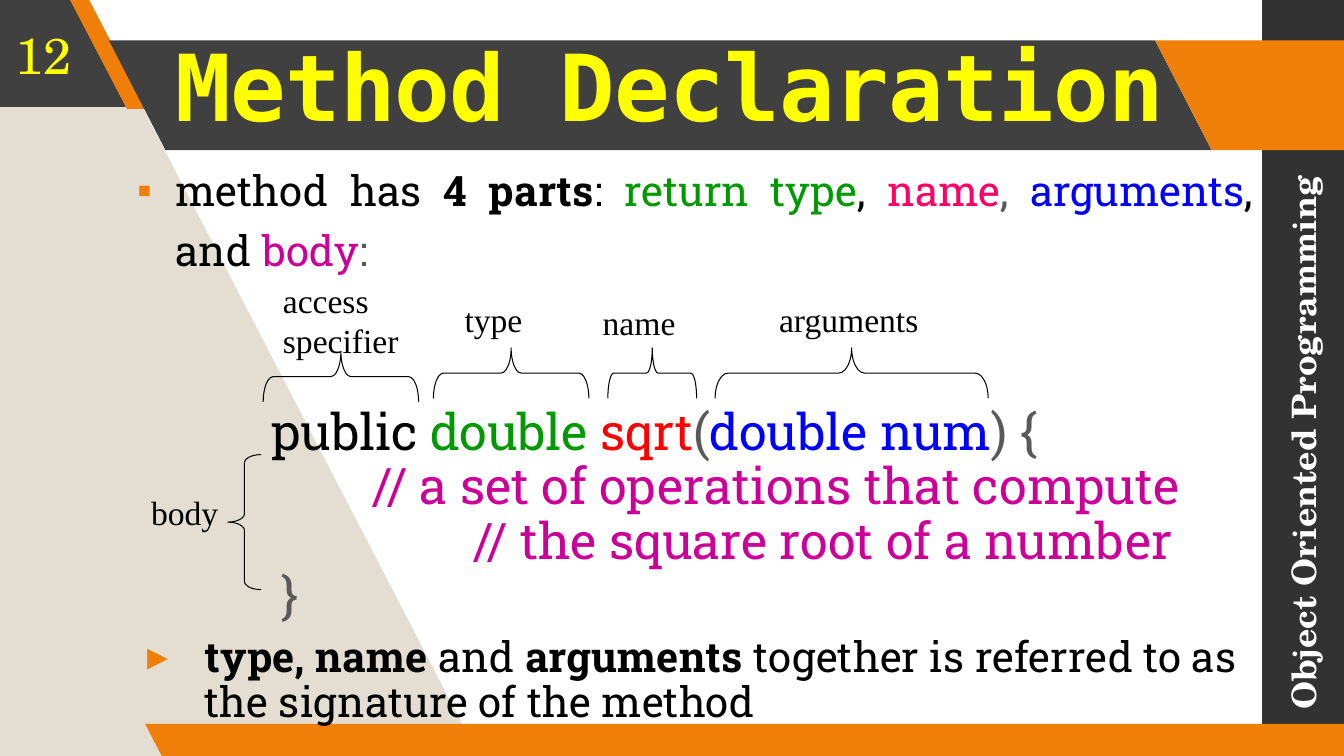
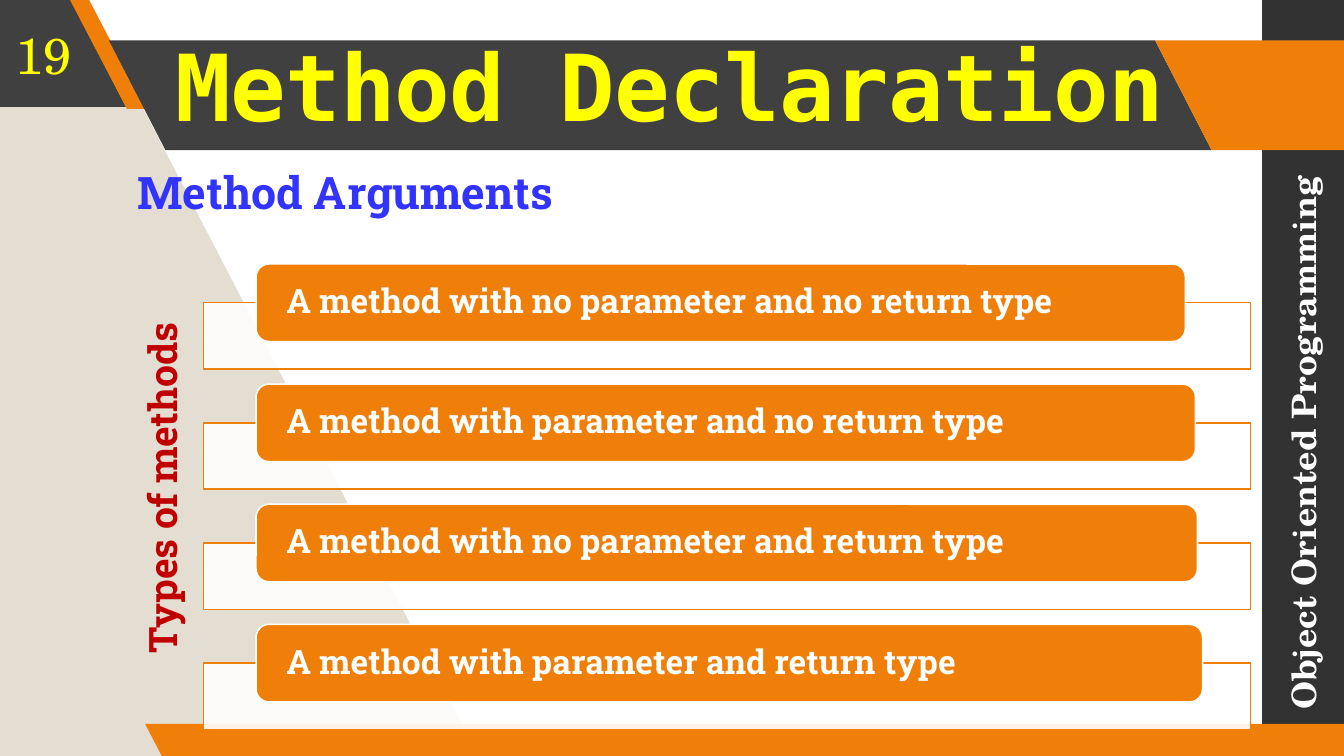
import pptx
import pptx.util
import pptx.dml.color
import pptx.enum.shapes
import pptx.enum.text
import pptx.oxml.ns
import lxml.etree

Pt = pptx.util.Pt
RGB = pptx.dml.color.RGBColor
SHAPE = pptx.enum.shapes.MSO_SHAPE
ALIGN = pptx.enum.text.PP_ALIGN
ANCHOR = pptx.enum.text.MSO_ANCHOR
qn = pptx.oxml.ns.qn

ORANGE = RGB(0xF0, 0x7F, 0x09)
CHARCOAL = RGB(0x40, 0x40, 0x40)
SIDEBAR = RGB(0x32, 0x32, 0x32)
SAND = RGB(0xE3, 0xDE, 0xD1)
YELLOW = RGB(0xFF, 0xFF, 0x00)
WHITE = RGB(0xFF, 0xFF, 0xFF)
BLACK = RGB(0, 0, 0)
GRAY = RGB(0x59, 0x59, 0x59)
GREEN = RGB(0, 0x99, 0)
PINK = RGB(0xFF, 0, 0x66)
RED = RGB(0xFF, 0, 0)
BLUE = RGB(0, 0, 0xFF)
PURPLE = RGB(0xCC, 0, 0x99)
INDIGO = RGB(0x33, 0x33, 0xFF)
CRIMSON = RGB(0xC0, 0, 0)

SLAB = "Roboto Slab"
SCHOLA = "TeX Gyre Schola"
MONO = "DejaVu Sans Mono"
TIMES = "Times New Roman"

TITLE = "Method Declaration"
COURSE = "Object Oriented Programming"

SAND_WEDGE = [(342, 540), (59.8, -4.3), (-5.8, -3.6), (-2.2, 543.6)]
BANDS = [
    ((-95, -2.2, 185, 78.5), 0.515, CHARCOAL),
    ((49.7, -0.7, 54.7, 78.5), 0.75, ORANGE),
    ((77.8, 28.8, 787.7, 78.5), 0.515, CHARCOAL),
    ((825.1, 28.8, 185, 78.5), 0.515, ORANGE),
    ((103.7, 517, 878.4, 23.8), 0.515, ORANGE),
]

PARTS_TEXT = [
    dict(size=30, left=27.4, hang=27.4, bullet="▪", line=1.2, align=ALIGN.JUSTIFY, track=10,
         runs=[("method has ", BLACK), ("4 parts", BLACK, True), (": ", BLACK),
               ("return type", GREEN), (", ", BLACK), ("name", PINK), (", ", GRAY),
               ("arguments", BLUE), (", and ", BLACK), ("body", PURPLE), (":", GRAY)]),
    dict(size=36, left=96, before=94,
         runs=[("public", BLACK), (" double ", GREEN), ("sqrt", RED), ("(", GRAY),
               ("double num", BLUE), (") {", GRAY)]),
    dict(size=36, left=168, runs=[("// a set of operations that compute", PURPLE)]),
    dict(size=36, left=240, runs=[("// the square root of a number", PURPLE)]),
    dict(size=36, left=103.5, runs=[("}", GRAY)]),
    dict(size=30, left=48.2, hang=41, bullet="▸", before=8, track=10,
         runs=[("type, name ", BLACK, True), ("and ", BLACK), ("arguments", BLACK, True),
               (" together is referred to as the signature of the method", BLACK)]),
]
ARGUMENTS_TEXT = [
    dict(size=32, line=1.2, align=ALIGN.JUSTIFY, runs=[("Method Arguments", INDIGO, True)]),
]

BRACE_DEPTH = 36
TOP_BRACES = [
    (188, 251, 111, 0.2),
    (309.6, 248.5, 111, 0.2),
    (434.2, 248.5, 63.4, 0.115),
    (510.8, 248.5, 195, 0.258),
]
BODY_BRACE = (162.7, 324.7, 23.8, 96.5)
PART_LABELS = [
    ("access specifier", (195, 196.5, 108.7, 65.5)),
    ("type", (324.7, 210.2, 95, 43.2)),
    ("name", (423.4, 212.4, 87.8, 43.2)),
    ("arguments", (549.4, 210.2, 121.7, 36.7)),
    ("body", (100.8, 347.8, 82.8, 43.2)),
]

METHOD_KINDS = [
    ("A method with no parameter and no return type", 663.8),
    ("A method with parameter and no return type", 671),
    ("A method with no parameter and return type", 672.5),
    ("A method with parameter and return type", 676.1),
]
KIND_TOP, KIND_PITCH = 188.6, 85.8


def style(run, font, size, color, bold=False, track=0):
    run.font.name = font
    run.font.size = Pt(size)
    run.font.color.rgb = color
    run.font.bold = bold
    if track:
        run.font._element.set("spc", str(track))


def add_figure(slide, kind, box, fill=None, line=None, weight=1):
    figure = slide.shapes.add_shape(kind, *map(Pt, box))
    paint(figure, fill, line, weight)
    return figure


def paint(figure, fill=None, line=None, weight=1):
    figure.shadow.inherit = False
    if fill is None:
        figure.fill.background()
    else:
        figure.fill.solid()
        figure.fill.fore_color.rgb = fill
    if line is None:
        figure.line.fill.background()
    else:
        figure.line.color.rgb = line
        figure.line.width = Pt(weight)


def add_label(slide, text, box, font, size, color, bold=False,
              anchor=ANCHOR.TOP, align=ALIGN.LEFT, rotation=0):
    label = slide.shapes.add_textbox(*map(Pt, box))
    label.rotation = rotation
    frame = label.text_frame
    frame.word_wrap = True
    frame.vertical_anchor = anchor
    frame.text = text
    frame.paragraphs[0].alignment = align
    style(frame.paragraphs[0].runs[0], font, size, color, bold)


def place(placeholder, box):
    placeholder.left, placeholder.top, placeholder.width, placeholder.height = map(Pt, box)


def build_layout(layout, slide):
    add_figure(slide, SHAPE.RECTANGLE, (901.5, 0, 59.8, 540), SIDEBAR)
    corners = [(Pt(x), Pt(y)) for x, y in SAND_WEDGE]
    outline = slide.shapes.build_freeform(*corners[0], scale=1.0)
    outline.add_line_segments(corners[1:], close=True)
    paint(outline.convert_to_shape(), SAND)
    for box, slant, color in BANDS:
        band = add_figure(slide, SHAPE.PARALLELOGRAM, box, color)
        band.adjustments[0] = slant
        band.element.spPr.find(qn("a:xfrm")).set("flipH", "1")
    add_label(slide, COURSE, (733, 301.7, 396, 28.8), SCHOLA, 24, WHITE, True,
              ANCHOR.MIDDLE, rotation=270)
    decorations = [s for s in slide.shapes if not s.is_placeholder]
    for number, decoration in enumerate(decorations, 100):
        decoration.element.xpath(".//p:cNvPr")[0].set("id", str(number))
        layout.shapes.element.append(decoration.element)
    place(layout.placeholders[0], (115.9, 28.8, 794.9, 78.5))
    place(layout.placeholders[1], (90.7, 106.6, 811.4, 407.5))


def set_bullet(paragraph, left, hang, bullet):
    properties = paragraph._p.get_or_add_pPr()
    properties.set("marL", str(int(Pt(left))))
    properties.set("indent", str(-int(Pt(hang))))
    if bullet:
        color = lxml.etree.SubElement(properties, qn("a:buClr"))
        lxml.etree.SubElement(color, qn("a:srgbClr")).set("val", str(ORANGE))
        lxml.etree.SubElement(properties, qn("a:buChar")).set("char", bullet)
    else:
        lxml.etree.SubElement(properties, qn("a:buNone"))


def fill_body(frame, items):
    frame.auto_size = pptx.enum.text.MSO_AUTO_SIZE.NONE
    for index, item in enumerate(items):
        paragraph = frame.add_paragraph() if index else frame.paragraphs[0]
        set_bullet(paragraph, item.get("left", 0), item.get("hang", 0), item.get("bullet"))
        paragraph.line_spacing = item.get("line", 0.9)
        paragraph.space_before = Pt(item.get("before", 0))
        paragraph.alignment = item.get("align", ALIGN.LEFT)
        for text, color, *bold in item["runs"]:
            run = paragraph.add_run()
            run.text = text
            track = item.get("track", 0) if color == BLACK else 0
            style(run, SLAB, item["size"], color, bool(bold), track)


def fill_slide(slide, number, items):
    frame = slide.shapes.title.text_frame
    frame.text = TITLE
    frame.auto_size = pptx.enum.text.MSO_AUTO_SIZE.NONE
    frame.vertical_anchor = ANCHOR.MIDDLE
    frame.margin_left = frame.margin_right = frame.margin_top = frame.margin_bottom = Pt(9.4)
    heading = frame.paragraphs[0]
    heading.alignment = ALIGN.LEFT
    heading.line_spacing = 0.8
    style(heading.runs[0], MONO, 66, YELLOW, True, -50)
    fill_body(slide.placeholders[1].text_frame, items)
    add_label(slide, number, (0, 0, 62.6, 77), SCHOLA, 36, YELLOW,
              anchor=ANCHOR.MIDDLE, align=ALIGN.CENTER)


def add_brace(slide, box, curl, rotation=0):
    brace = add_figure(slide, SHAPE.LEFT_BRACE, box, line=BLACK, weight=0.75)
    brace.adjustments[0] = curl
    brace.rotation = rotation


def annotate_signature(slide):
    add_brace(slide, BODY_BRACE, 0.25)
    for left, top, span, curl in TOP_BRACES:
        shift = (span - BRACE_DEPTH) / 2
        add_brace(slide, (left + shift, top - shift, BRACE_DEPTH, span), curl, 90)
    for text, box in PART_LABELS:
        add_label(slide, text, box, TIMES, 24, BLACK)


def list_method_kinds(slide):
    for index, (text, width) in enumerate(METHOD_KINDS):
        top = KIND_TOP + index * KIND_PITCH
        tray = add_figure(slide, SHAPE.RECTANGLE, (145.4, top + 27.6, 748, 47.5),
                          WHITE, ORANGE, 1.1)
        tint = tray.element.spPr.find(qn("a:solidFill")).find(qn("a:srgbClr"))
        lxml.etree.SubElement(tint, qn("a:alpha")).set("val", "90000")
        kind = add_figure(slide, SHAPE.ROUNDED_RECTANGLE, (182.9, top, width, 55.4),
                          ORANGE, WHITE, 1.1)
        frame = kind.text_frame
        frame.margin_left = frame.margin_right = Pt(19)
        frame.margin_top = frame.margin_bottom = 0
        frame.vertical_anchor = ANCHOR.MIDDLE
        frame.text = text
        frame.paragraphs[0].alignment = ALIGN.LEFT
        frame.paragraphs[0].line_spacing = 0.9
        style(frame.paragraphs[0].runs[0], SLAB, 24, WHITE, True)
    add_label(slide, "Types of methods", (-19.4, 318.2, 270, 41), SLAB, 28, CRIMSON, True,
              rotation=270)


def main():
    deck = pptx.Presentation()
    deck.slide_width, deck.slide_height = Pt(960), Pt(540)
    layout = deck.slide_layouts[1]
    signature = deck.slides.add_slide(layout)
    build_layout(layout, signature)
    fill_slide(signature, "12", PARTS_TEXT)
    annotate_signature(signature)
    kinds = deck.slides.add_slide(layout)
    fill_slide(kinds, "19", ARGUMENTS_TEXT)
    list_method_kinds(kinds)
    deck.save("out.pptx")


if __name__ == "__main__":
    main()
